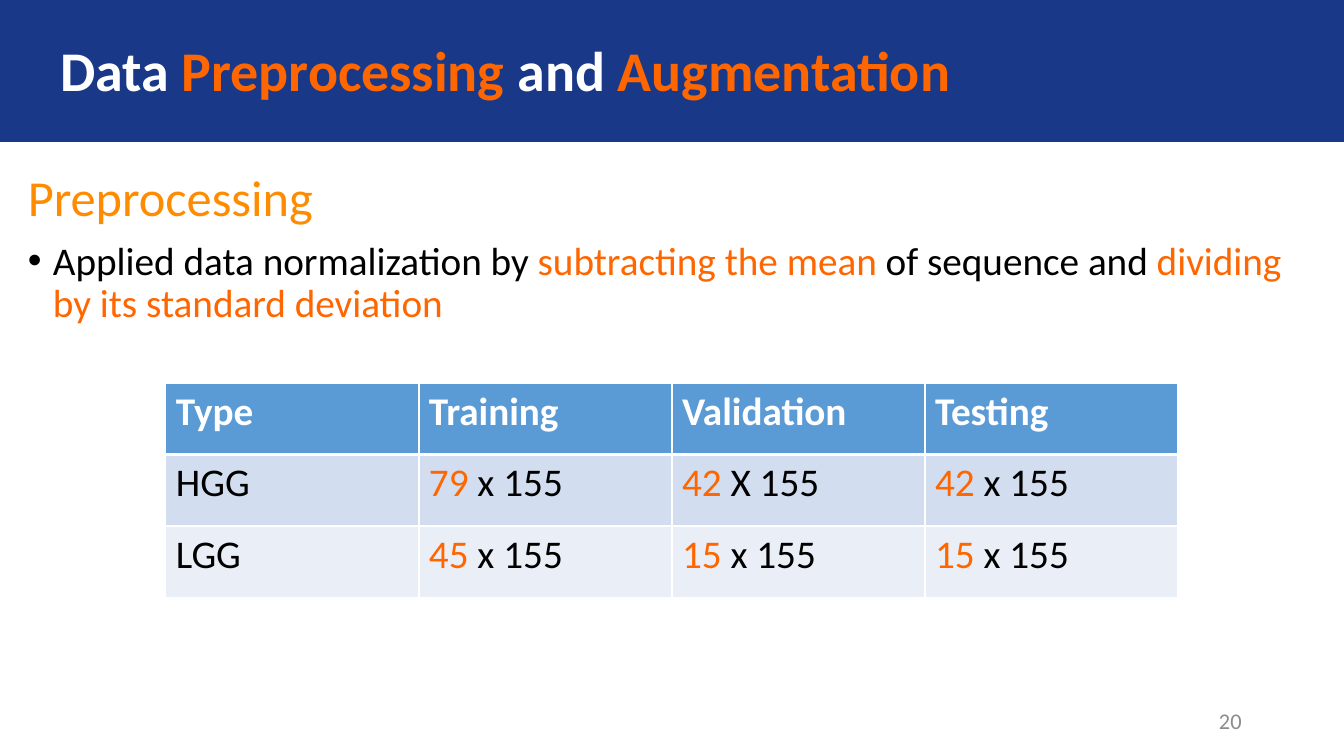
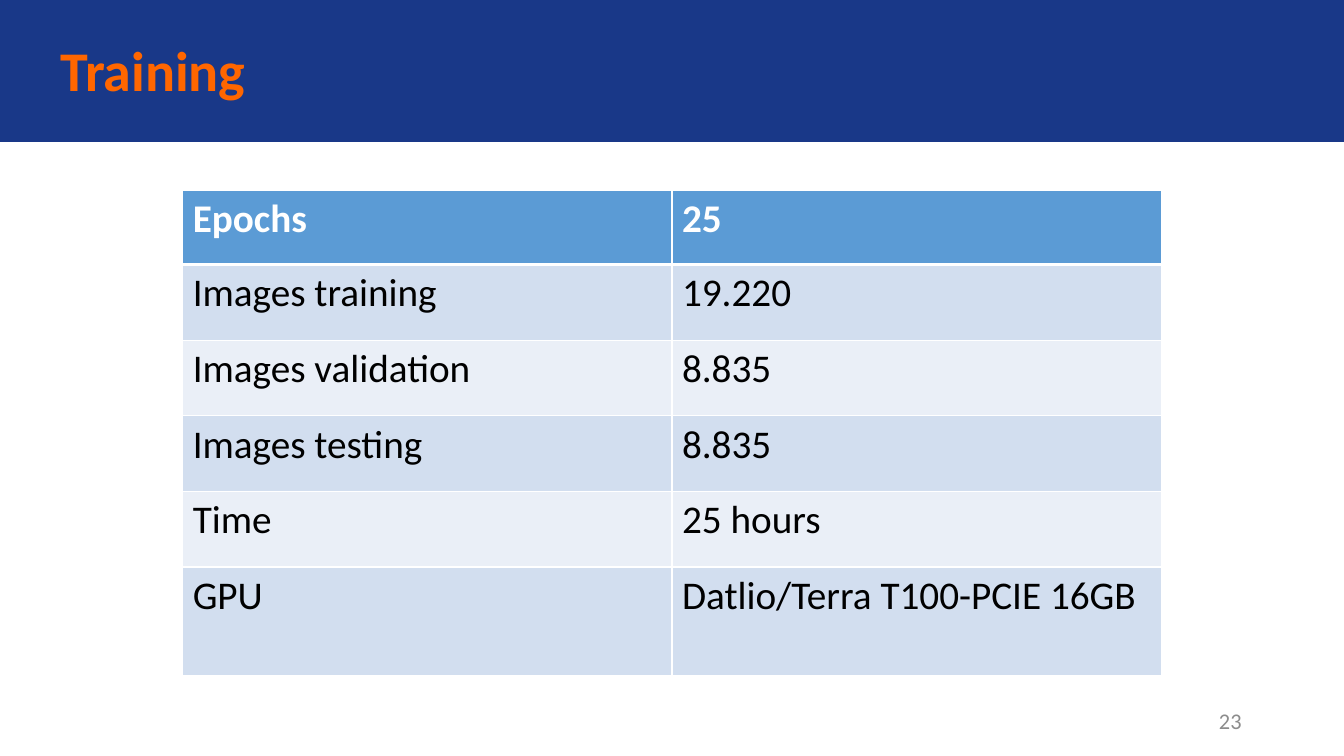
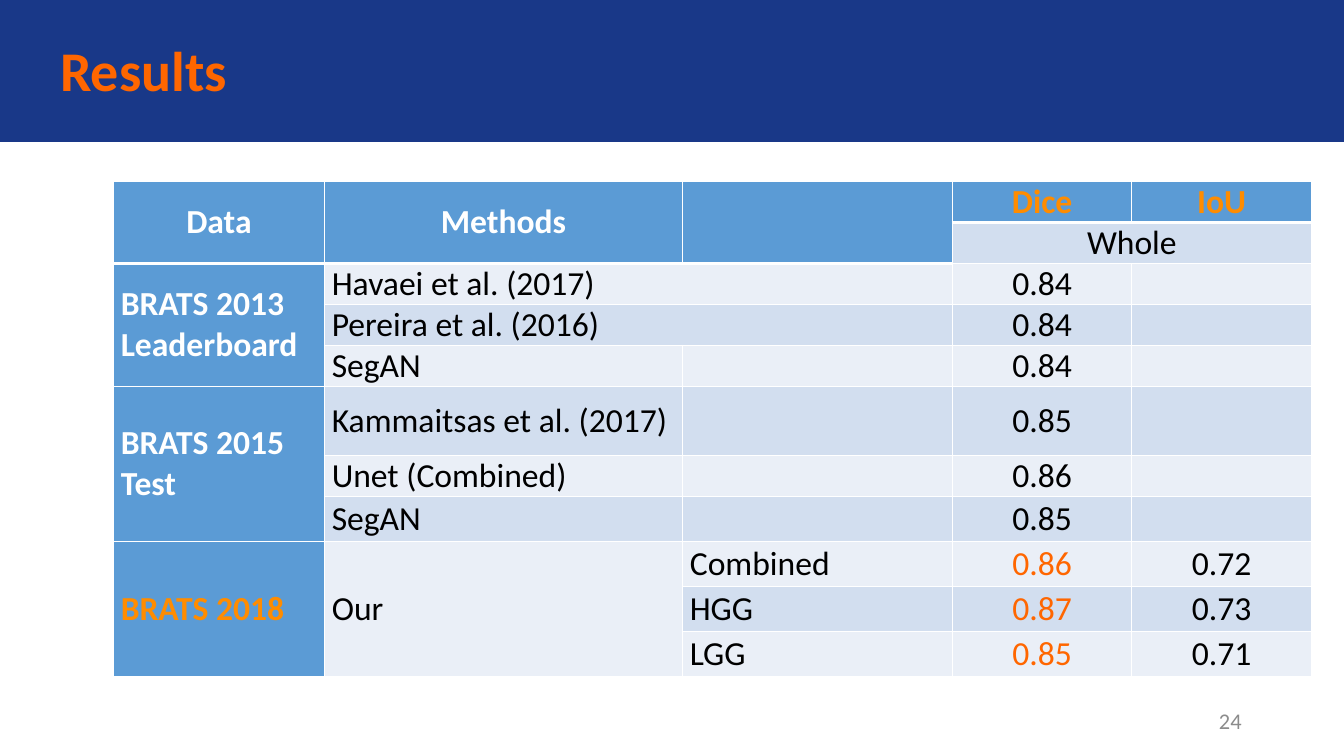
from lxml.etree import SubElement
from pptx import Presentation
from pptx.dml.color import RGBColor
from pptx.enum.shapes import MSO_SHAPE as SHAPE
from pptx.enum.text import MSO_ANCHOR as ANCHOR, PP_ALIGN as ALIGN
from pptx.oxml.ns import qn
from pptx.util import Emu, Pt

PX = 9525
WIDTH, HEIGHT = 1280, 720
FONT = "Calibri"
COLORS = {
    "white": "FFFFFF", "black": "000000", "navy": "193888",
    "orange": "FF6600", "amber": "FF8C00", "gray": "8C8C8C",
    "header": "5B9BD5", "band_dark": "D2DEEF", "band_light": "EAEFF7",
}


def px(n):
    return Emu(n * PX)


def rgb(name):
    return RGBColor.from_string(COLORS[name])


class Deck:
    def __init__(self):
        self.prs = Presentation()
        self.prs.slide_width, self.prs.slide_height = px(WIDTH), px(HEIGHT)
        self.s = None

    def slide(self, title, number):
        """Start a slide with the title band and the page number."""
        self.s = self.prs.slides.add_slide(self.prs.slide_layouts[6])
        band = self.s.shapes.add_shape(SHAPE.RECTANGLE, 0, 0, px(WIDTH), px(135))
        band.shadow.inherit = False
        band.fill.solid()
        band.fill.fore_color.rgb = band.line.color.rgb = rgb("navy")
        band.line.width = Pt(1)

        tf = self.text_box(0, 0, WIDTH, 139, ANCHOR.MIDDLE)
        p = tf.paragraphs[0]
        self.runs(p, title, 40, "orange", bold=True)
        self.indent(p, 48, 0)
        p.line_spacing = 0.9

        p = self.text_box(904, 667, 288, 38, ANCHOR.MIDDLE).paragraphs[0]
        p.alignment = ALIGN.RIGHT
        self.runs(p, str(number), 16, "gray")

    def text_box(self, x, y, w, h, anchor=ANCHOR.TOP):
        tf = self.s.shapes.add_textbox(px(x), px(y), px(w), px(h)).text_frame
        tf.word_wrap = True
        tf.vertical_anchor = anchor
        return tf

    def runs(self, p, content, size, color, bold=False):
        """Add a string, or a list of strings and (text, colour) pairs."""
        for part in [content] if isinstance(content, (str, tuple)) else content:
            text, own = (part, color) if isinstance(part, str) else part
            r = p.add_run()
            r.text = text
            r.font.name, r.font.size, r.font.bold = FONT, Pt(size), bold
            r.font.color.rgb = rgb(own)

    def indent(self, p, left, first):
        pPr = p._p.get_or_add_pPr()
        pPr.set("marL", str(px(left)))
        pPr.set("indent", str(px(first)))
        return pPr

    def body(self, heading, bullet):
        tf = self.text_box(17, 160, 1246, 532)
        self.runs(tf.paragraphs[0], heading, 36, "amber")
        p = tf.add_paragraph()
        self.runs(p, bullet, 28, "black")
        for par in tf.paragraphs:
            par.line_spacing, par.space_before = 0.9, Pt(10)
        pPr = self.indent(p, 24, -24)
        SubElement(pPr, qn("a:buFont"), typeface="Arial")
        SubElement(pPr, qn("a:buChar"), char="•")

    def borders(self, cell, **widths):
        """Draw white cell edges; the keys are L, R, T and B, in that order."""
        tcPr = cell._tc.get_or_add_tcPr()
        for side, width in widths.items():
            ln = SubElement(tcPr, qn("a:ln" + side), w=str(Pt(width)))
            fill = SubElement(ln, qn("a:solidFill"))
            SubElement(fill, qn("a:srgbClr"), val=COLORS["white"])

    def table(self, x, y, cols, rows, cells, size=28, merges=(),
              grouped=False):
        """Add a banded table; grouped makes it compact, with a header column
        and centred headings and figures."""
        tbl = self.s.shapes.add_table(len(rows), len(cols), px(x), px(y),
                                      px(sum(cols)), px(sum(rows))).table
        for col, w in zip(tbl.columns, cols):
            col.width = px(w)
        for row, h in zip(tbl.rows, rows):
            row.height = px(h)
        origins = {}
        for top, left, bottom, right in merges:
            tbl.cell(top, left).merge(tbl.cell(bottom, right))
            for i in range(top, bottom + 1):
                for j in range(left, right + 1):
                    origins[i, j] = top, left

        for i in range(len(rows)):
            for j in range(len(cols)):
                cell = tbl.cell(i, j)
                row, col = origins.get((i, j), (i, j))
                head = row == 0 or (grouped and col == 0)
                edges = {"L": 1, "R": 1}
                if i == 0:
                    edges["T"] = 1
                self.borders(cell, **edges, B=3 if row == 0 else 1)
                cell.fill.solid()
                cell.fill.fore_color.rgb = rgb(
                    "header" if head else
                    "band_dark" if row % 2 else "band_light")
                p = cell.text_frame.paragraphs[0]
                if grouped:
                    cell.vertical_anchor = ANCHOR.MIDDLE
                    cell.margin_left = cell.margin_right = px(7)
                    cell.margin_top = cell.margin_bottom = 0
                    if row == 0 or col >= 3:
                        p.alignment = ALIGN.CENTER
                if cells[i][j]:
                    self.runs(p, cells[i][j], size,
                              "white" if head else "black", head)


def orange(text):
    return text, "orange"


def amber(text):
    return text, "amber"


def main():
    d = Deck()

    d.slide([("Data", "white"), " Preprocessing ", ("and", "white"),
             " Augmentation"], 20)
    d.body("Preprocessing",
           ["Applied data normalization by ", orange("subtracting the mean"),
            " of sequence and ", orange("dividing by its standard deviation")])
    d.table(158, 365, [241] * 4, [68] * 3, [
        ["Type", "Training", "Validation", "Testing"],
        ["HGG", [orange("79"), " x 155"], [orange("42"), " X 155"],
         [orange("42"), " x 155"]],
        ["LGG"] + [[orange(n), " x 155"] for n in ("45", "15", "15")],
    ])

    d.slide("Training", 23)
    d.table(174, 181, [466] * 2, [71] + [72] * 4 + [103], [
        ["Epochs", "25"],
        ["Images training", "19.220"],
        ["Images validation", "8.835"],
        ["Images testing", "8.835"],
        ["Time", "25 hours"],
        ["GPU", "Datlio/Terra T100-PCIE 16GB"],
    ])

    d.slide("Results", 24)
    d.table(108, 173, [201, 341, 257, 171, 171],
            [39] * 5 + [66, 39] + [43] * 4, [
        ["Data", "Methods", "", amber("Dice"), amber("IoU")],
        ["", "", "", "Whole", ""],
        ["BRATS 2013 Leaderboard", "Havaei et al. (2017)", "", "0.84", ""],
        ["", "Pereira et al. (2016)", "", "0.84", ""],
        ["", "SegAN", "", "0.84", ""],
        ["BRATS 2015 Test", "Kammaitsas et al. (2017)", "", "0.85", ""],
        ["", "Unet (Combined)", "", "0.86", ""],
        ["", "SegAN", "", "0.85", ""],
        [amber("BRATS 2018"), "Our", "Combined", orange("0.86"), "0.72"],
        ["", "", "HGG", orange("0.87"), "0.73"],
        ["", "", "LGG", orange("0.85"), "0.71"],
    ], size=24, grouped=True, merges=[
        (0, 0, 1, 0), (0, 1, 1, 1), (0, 2, 1, 2), (1, 3, 1, 4),
        (2, 0, 4, 0), (2, 1, 2, 2), (3, 1, 3, 2),
        (5, 0, 7, 0), (8, 0, 10, 0), (8, 1, 10, 1),
    ])

    d.prs.save("out.pptx")


if __name__ == "__main__":
    main()
